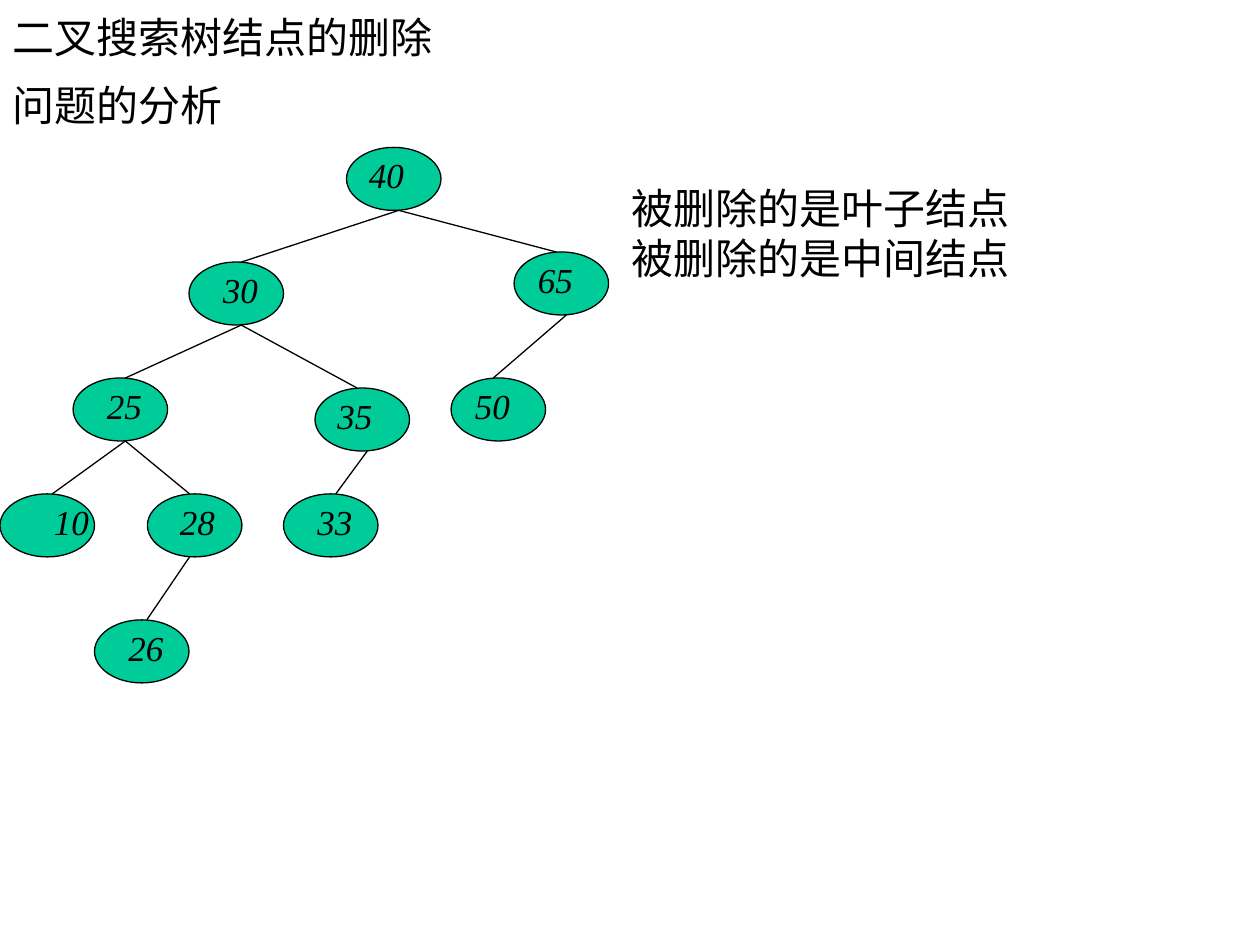
from lxml import etree
from pptx import Presentation
from pptx.dml.color import RGBColor
from pptx.enum.shapes import MSO_CONNECTOR, MSO_SHAPE
from pptx.enum.text import MSO_ANCHOR, MSO_AUTO_SIZE, PP_ALIGN
from pptx.oxml.ns import qn
from pptx.util import Inches, Pt

ELLIPSE = MSO_SHAPE.OVAL
STRAIGHT = MSO_CONNECTOR.STRAIGHT
LEFT = PP_ALIGN.LEFT
TOP, MIDDLE = MSO_ANCHOR.TOP, MSO_ANCHOR.MIDDLE
NO_AUTOFIT = MSO_AUTO_SIZE.NONE

COLORS = {"text": "000000", "line": "000000", "node": "00CC99"}
FONT = "Times New Roman"
NODE_WIDTH, NODE_HEIGHT = 0.75, 0.5
LABEL_WIDTH, LABEL_HEIGHT = 0.5, 0.44
NUDGE = 0.04

# key: (left, top, label offset), relative to the tree's box
NODES = {
    "40": (2.75, 0, 0.08),
    "30": (1.5, 0.91, 0.17),
    "65": (4.08, 0.83, 0.09),
    "25": (0.58, 1.83, 0.17),
    "35": (2.5, 1.91, 0.08),
    "50": (3.58, 1.83, 0.09),
    "10": (0, 2.75, 0.33),
    "28": (1.17, 2.75, 0.16),
    "26": (0.75, 3.75, 0.17),
    "33": (2.25, 2.75, 0.17),
}
# parent, child, and the side of centre (-1 or 1) where each end meets its node
EDGES = [
    ("40", "30", 1, 1),
    ("30", "25", 1, 1),
    ("30", "35", 1, -1),
    ("25", "10", 1, 1),
    ("25", "28", 1, -1),
    ("28", "26", -1, 1),
    ("35", "33", 1, 1),
    ("40", "65", 1, -1),
    ("65", "50", 1, -1),
]


def color(name):
    """Return the named colour."""
    return RGBColor.from_string(COLORS[name])


def place(shape, box):
    """Move a shape to a box given in inches."""
    shape.left, shape.top, shape.width, shape.height = map(Inches, box)


def add_run(paragraph, text, size, italic=False):
    """Add one formatted run."""
    run = paragraph.add_run()
    run.text = text
    run.font.name = FONT
    run.font.size = Pt(size)
    run.font.italic = italic
    run.font.color.rgb = color("text")


def fill_title(shape, box, text):
    """Place the title and write its text."""
    place(shape, box)
    frame = shape.text_frame
    frame.auto_size = NO_AUTOFIT
    frame.vertical_anchor = MIDDLE
    paragraph = frame.paragraphs[0]
    paragraph.alignment = LEFT
    add_run(paragraph, text, 24)


def fill_body(shape, box, items):
    """Place the body and write items of text, left margin and space before."""
    place(shape, box)
    frame = shape.text_frame
    frame.auto_size = NO_AUTOFIT
    frame.vertical_anchor = TOP
    for index, (text, margin, space) in enumerate(items):
        paragraph = frame.add_paragraph() if index else frame.paragraphs[0]
        properties = paragraph._p.get_or_add_pPr()
        properties.set("marL", str(Inches(margin)))
        properties.set("indent", "0")
        etree.SubElement(properties, qn("a:buNone"))
        paragraph.alignment = LEFT
        paragraph.space_before = Pt(space)
        add_run(paragraph, text, 24)


def add_node(slide, left, top):
    """Add one ellipse of the tree."""
    shape = slide.shapes.add_shape(
        ELLIPSE, Inches(left), Inches(top), Inches(NODE_WIDTH), Inches(NODE_HEIGHT))
    shape.shadow.inherit = False
    shape.fill.solid()
    shape.fill.fore_color.rgb = color("node")
    shape.line.color.rgb = color("line")
    shape.line.width = Pt(0.75)


def add_edge(slide, start, end):
    """Add a line between two points."""
    connector = slide.shapes.add_connector(STRAIGHT, *map(Inches, start + end))
    connector.line.color.rgb = color("line")
    connector.line.width = Pt(0.75)
    etree.SubElement(connector._element.spPr, qn("a:effectLst"))


def add_label(slide, left, top, text):
    """Add the key of a node."""
    shape = slide.shapes.add_textbox(
        Inches(left), Inches(top), Inches(LABEL_WIDTH), Inches(LABEL_HEIGHT))
    shape.text_frame.word_wrap = True
    add_run(shape.text_frame.paragraphs[0], text, 20, italic=True)


def add_tree(slide, left, top):
    """Draw the search tree from its top left corner."""
    for x, y, _ in NODES.values():
        add_node(slide, left + x, top + y)
    middle = left + NODE_WIDTH / 2
    for parent, child, parent_side, child_side in EDGES:
        parent_x, parent_y, _ = NODES[parent]
        child_x, child_y, _ = NODES[child]
        add_edge(
            slide,
            (middle + parent_x + parent_side * NUDGE, top + parent_y + NODE_HEIGHT),
            (middle + child_x + child_side * NUDGE, top + child_y))
    for key, (x, y, offset) in NODES.items():
        add_label(slide, left + x + offset, top + y, key)


def main():
    """Build and save the slide."""
    presentation = Presentation()
    presentation.slide_width, presentation.slide_height = Inches(10), Inches(7.5)
    slide = presentation.slides.add_slide(presentation.slide_layouts[1])
    fill_title(slide.shapes.title, (0, 0, 8.5, 0.58), "二叉搜索树结点的删除")
    fill_body(slide.placeholders[1], (0, 0.58, 9.67, 6.58), [
        ("问题的分析", 0, 0),
        ("被删除的是叶子结点", 4.91, 30),
        ("被删除的是中间结点", 4.91, 0),
    ])
    add_tree(slide, 0, 1.17)
    presentation.save("out.pptx")


if __name__ == "__main__":
    main()
